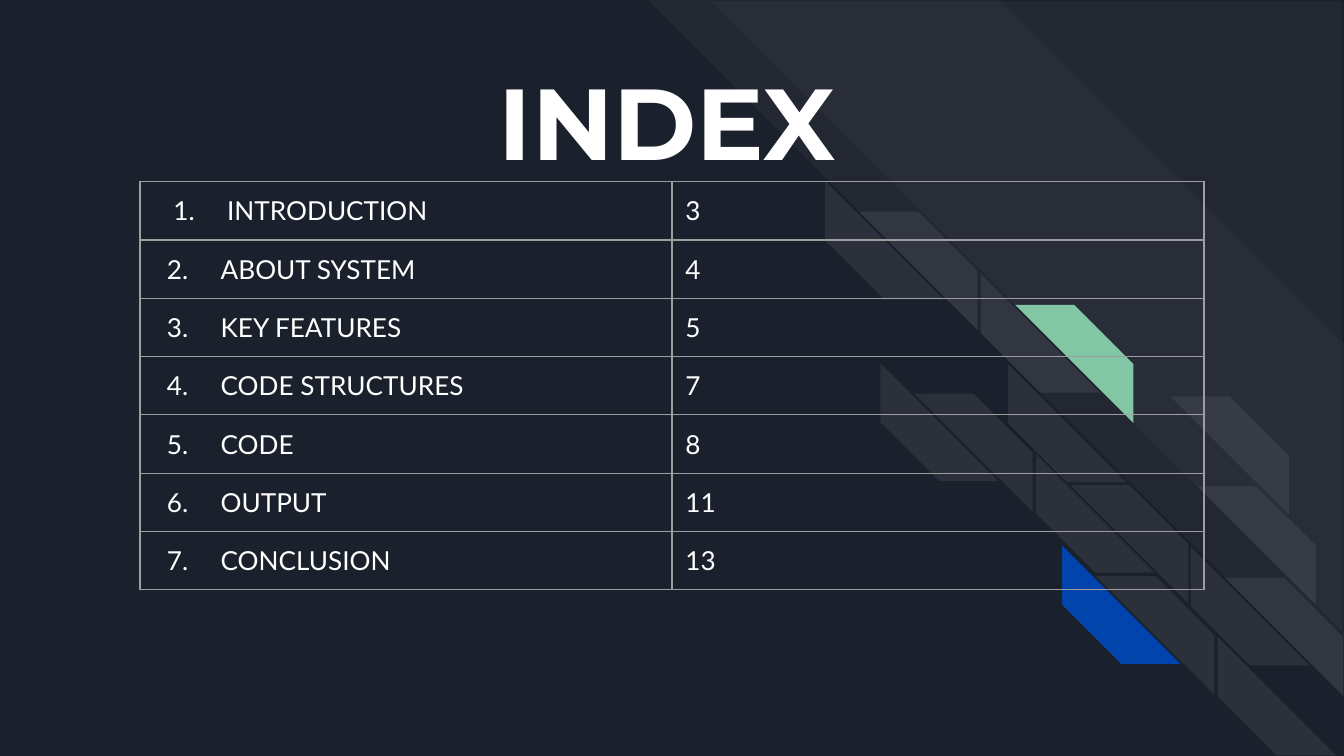
from dataclasses import dataclass

import lxml.etree
import pptx
import pptx.dml.color
import pptx.enum.shapes
import pptx.enum.text
import pptx.oxml.ns
import pptx.util

Pt = pptx.util.Pt
qn = pptx.oxml.ns.qn


@dataclass(frozen=True)
class Theme:
    background: str = "1B212C"
    white: str = "FFFFFF"
    border: str = "9E9E9E"
    green: str = "82C7A5"
    blue: str = "0145AC"
    title_font: str = "Montserrat"
    body_font: str = "Lato"
    title_size: float = 54
    body_size: float = 14
    border_width: float = 0.75
    inset: float = 7.2


ENTRIES = [
    ("INTRODUCTION", "3"),
    ("ABOUT SYSTEM", "4"),
    ("KEY FEATURES", "5"),
    ("CODE STRUCTURES", "7"),
    ("CODE", "8"),
    ("OUTPUT", "11"),
    ("CONCLUSION", "13"),
]

# Left, top, has an upper partner
LOWER_STRIPES = [
    (442, 97, True),
    (471.6, 194.4, True),
    (525.6, 146.9, True),
    (540, 195.1, False),
    (555.1, 243.4, True),
    (569, 292.3, True),
    (637.9, 293, True),
    (652.3, 341.3, False),
]
LONE_UPPER_STRIPES = [(627.1, 212.4), (641.5, 260.6)]
PARTNER_OFFSET = (18.2, 16.4)
STRIPE_SIZE = 63.4
GREEN_STRIPE, BLUE_STRIPE = 2, 5


def set_values(target, values):
    for name, value in values.items():
        setattr(target, name, value)


def color(value):
    return pptx.dml.color.RGBColor.from_string(value)


def add_element(parent, tag, **attributes):
    return lxml.etree.SubElement(parent, qn(tag), attributes)


class SlideBuilder:
    def __init__(self, slide, theme):
        self.slide = slide
        self.theme = theme
        slide.background.fill.solid()
        slide.background.fill.fore_color.rgb = color(theme.background)

    def format_font(self, font, name, size, bold=False):
        set_values(font, {"name": name, "size": Pt(size), "bold": bold})
        font.color.rgb = color(self.theme.white)

    def stripe(self, left, top, size, rotation, thickness=0.5, fill=None, opacity=7):
        """Draw a solid stripe if fill is given, else a faint white one."""
        shape = self.slide.shapes.add_shape(
            pptx.enum.shapes.MSO_SHAPE.DIAGONAL_STRIPE,
            Pt(left), Pt(top), Pt(size), Pt(size))
        shape.rotation = rotation
        shape.adjustments[0] = thickness
        shape.shadow.inherit = False
        shape.line.fill.background()
        shape.fill.solid()
        shape.fill.fore_color.rgb = color(fill or self.theme.white)
        if fill is None:
            tint = shape._element.spPr.find(qn("a:solidFill")).find(qn("a:srgbClr"))
            add_element(tint, "a:alpha", val=str(opacity * 1000))

    def title(self, text, left, top, width, height):
        title = self.slide.shapes.title
        set_values(title, {"left": Pt(left), "top": Pt(top),
                           "width": Pt(width), "height": Pt(height)})
        frame = title.text_frame
        inset = Pt(self.theme.inset)
        set_values(frame, {
            "text": text, "word_wrap": True,
            "auto_size": pptx.enum.text.MSO_AUTO_SIZE.NONE,
            "vertical_anchor": pptx.enum.text.MSO_ANCHOR.TOP,
            "margin_left": inset, "margin_right": inset,
            "margin_top": inset, "margin_bottom": inset})
        para = frame.paragraphs[0]
        set_values(para, {"alignment": pptx.enum.text.PP_ALIGN.CENTER,
                          "line_spacing": 1.0})
        self.format_font(para.runs[0].font, self.theme.title_font,
                         self.theme.title_size, bold=True)
        # The placeholder comes first in the tree; bring it to the front
        self.slide.shapes._spTree.append(title._element)

    def number_para(self, para, number, margin, hang):
        properties = para._p.get_or_add_pPr()
        properties.set("marL", str(Pt(margin)))
        properties.set("indent", str(-Pt(hang)))
        bullet_color = add_element(properties, "a:buClr")
        add_element(bullet_color, "a:srgbClr", val=self.theme.white)
        add_element(properties, "a:buFont", typeface=self.theme.body_font)
        add_element(properties, "a:buAutoNum", type="arabicPeriod",
                    startAt=str(number))

    def border_cell(self, cell):
        properties = cell._tc.get_or_add_tcPr()
        for side in ("a:lnL", "a:lnR", "a:lnT", "a:lnB"):
            line = add_element(properties, side, w=str(Pt(self.theme.border_width)))
            fill = add_element(line, "a:solidFill")
            add_element(fill, "a:srgbClr", val=self.theme.border)

    def index_table(self, entries, left, top, column_width, row_height):
        table = self.slide.shapes.add_table(
            len(entries), 2, Pt(left), Pt(top),
            Pt(2 * column_width), Pt(len(entries) * row_height)).table
        set_values(table, {"first_row": False, "horz_banding": False})
        inset = Pt(self.theme.inset)
        for row, entry in enumerate(entries):
            for column, text in enumerate(entry):
                cell = table.cell(row, column)
                set_values(cell, {
                    "text": text, "margin_left": inset, "margin_right": inset,
                    "margin_top": inset, "margin_bottom": inset})
                self.border_cell(cell)
                cell.fill.background()
                para = cell.text_frame.paragraphs[0]
                if column == 0:
                    # The first entry sits slightly further in
                    margin = 39.5 if row == 0 else 36
                    self.number_para(para, row + 1, margin, 28.8)
                self.format_font(para.runs[0].font, self.theme.body_font,
                                 self.theme.body_size)


def main():
    deck = pptx.Presentation()
    set_values(deck, {"slide_width": Pt(720), "slide_height": Pt(405)})
    theme = Theme()
    page = SlideBuilder(deck.slides.add_slide(deck.slide_layouts[5]), theme)

    page.stripe(347, 0, 373, 90, thickness=0.495, opacity=3)
    page.stripe(381, 0.5, 338, 90, thickness=0, opacity=3)
    for index, (left, top, has_partner) in enumerate(LOWER_STRIPES):
        page.stripe(left, top, STRIPE_SIZE, 270,
                    fill=theme.blue if index == BLUE_STRIPE else None)
        if has_partner:
            page.stripe(left + PARTNER_OFFSET[0], top + PARTNER_OFFSET[1],
                        STRIPE_SIZE, 90,
                        fill=theme.green if index == GREEN_STRIPE else None)
    for left, top in LONE_UPPER_STRIPES:
        page.stripe(left, top, STRIPE_SIZE, 90)

    page.index_table(ENTRIES, left=75, top=97.3, column_width=285, row_height=30.5)
    page.title("INDEX", left=83, top=25, width=549, height=60.5)
    deck.save("out.pptx")


if __name__ == "__main__":
    main()
